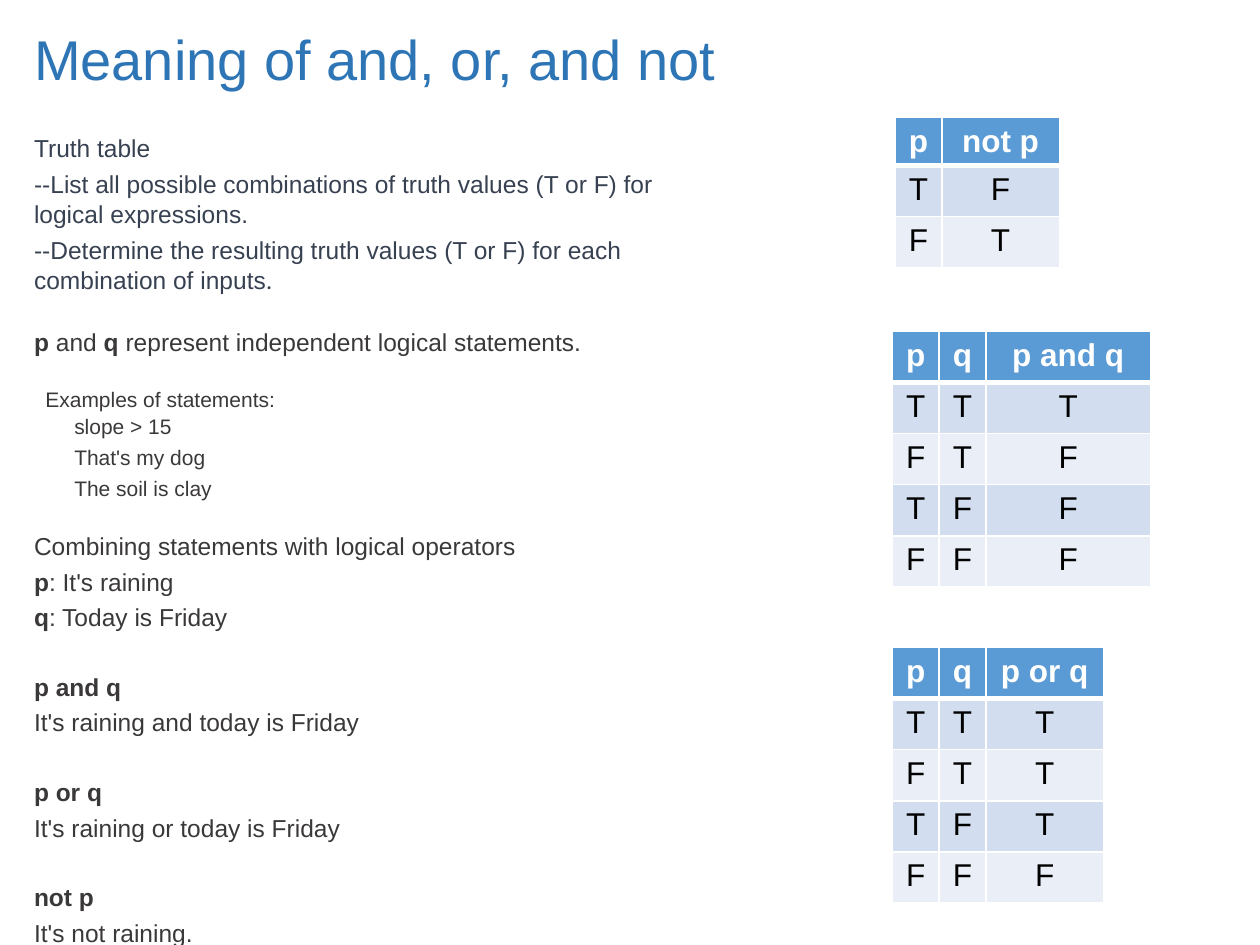
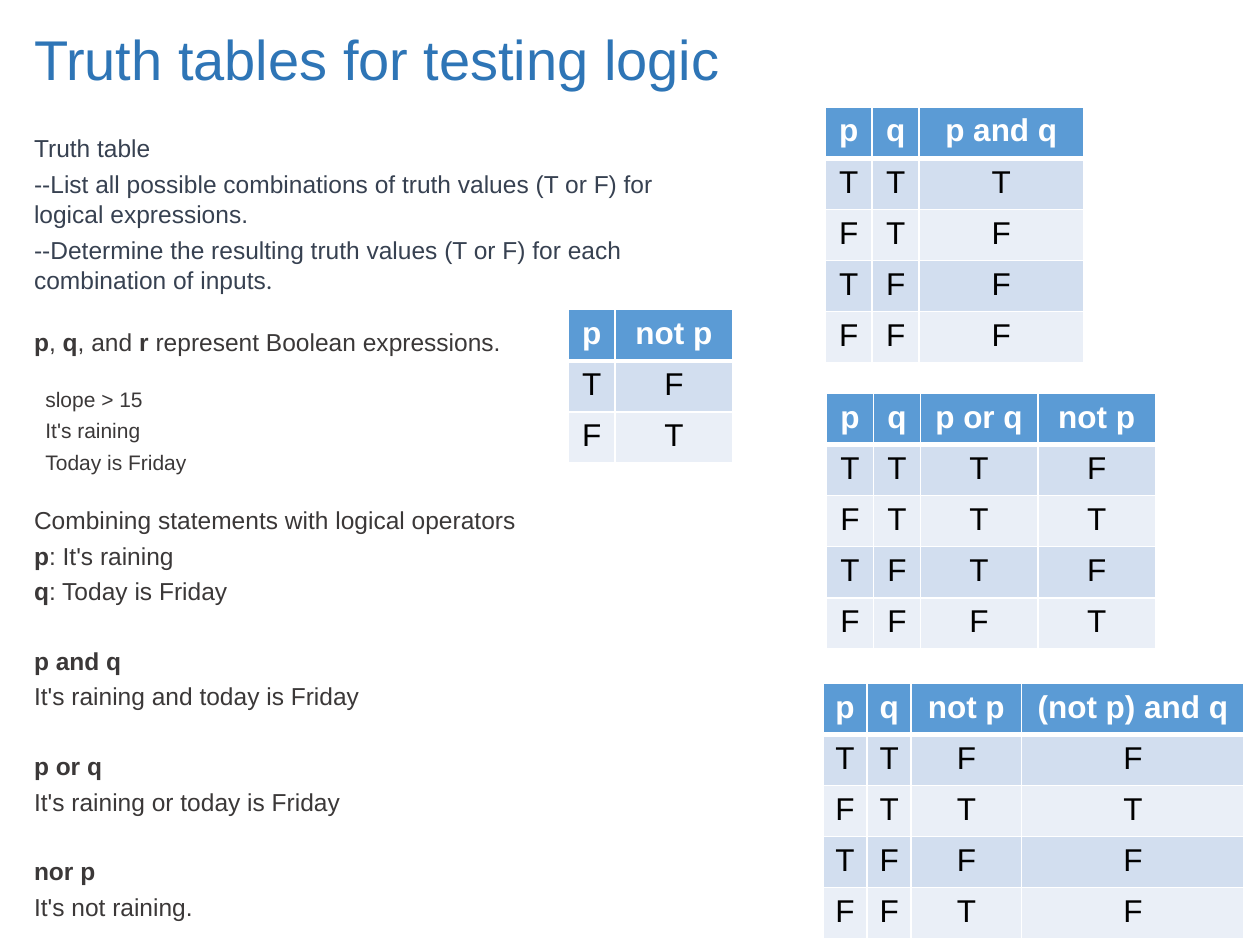
from itertools import product

from lxml import etree
from pptx import Presentation
from pptx import util as u
from pptx.dml.color import RGBColor
from pptx.enum import text
from pptx.oxml import ns

COLOURS = {
    "title": "2E75B6", "intro": "374151", "body": "3B3838",
    "header": "5B9BD5", "odd": "D2DEEF", "even": "EAEFF7",
    "line": "FFFFFF", "header_text": "FFFFFF", "value": "000000",
}
FONT = "Arial"
LINE_SPACING = 1.04
NEAR, SECTION, GROUP = 2.8, 17, 22.4
STATEMENT, EXAMPLE = 6.5, 23

LOGIC = {
    "p": lambda p, q: p,
    "q": lambda p, q: q,
    "not p": lambda p, q: not p,
    "p and q": lambda p, q: p and q,
    "p or q": lambda p, q: p or q,
    "(not p) and q": lambda p, q: not p and q,
}

INTRO = [
    "Truth table",
    "--List all possible combinations of truth values (T or F) for logical expressions.",
    "--Determine the resulting truth values (T or F) for each combination of inputs",
]


class Deck:
    """Holds the shared style and the slide being built."""

    def __init__(self):
        self.prs = Presentation()
        self.prs.slide_width, self.prs.slide_height = u.Pt(720), u.Pt(540)
        self.slide = None

    def place(self, holder, left, top, width, height):
        holder.left, holder.top = u.Pt(left), u.Pt(top)
        holder.width, holder.height = u.Pt(width), u.Pt(height)
        frame = holder.text_frame
        frame.word_wrap = True
        frame.auto_size = text.MSO_AUTO_SIZE.NONE
        return frame

    def run(self, para, words, size, colour, bold=False, font=FONT):
        run = para.add_run()
        run.text = words
        run.font.name, run.font.size, run.font.bold = font, u.Pt(size), bold
        run.font.color.rgb = RGBColor.from_string(COLOURS[colour])

    def title(self, words):
        self.slide = self.prs.slides.add_slide(self.prs.slide_layouts[1])
        frame = self.place(self.slide.shapes.title, 12.24, 15.1, 630, 36)
        frame.vertical_anchor = text.MSO_ANCHOR.MIDDLE
        heading = frame.paragraphs[0]
        heading.alignment = text.PP_ALIGN.LEFT
        self.run(heading, words, 32, "title")

    def body(self):
        self.frame = self.place(self.slide.placeholders[1], 12.24, 72, 396, 426)
        self.started = False

    def line(self, words, before=NEAR, size=14, indent=0, colour="body"):
        para = self.frame.add_paragraph() if self.started else self.frame.paragraphs[0]
        props = para._p.get_or_add_pPr()
        props.set("marL", str(u.Pt(indent)))
        props.set("indent", "0")
        etree.SubElement(props, ns.qn("a:buNone"))
        para.line_spacing = LINE_SPACING
        para.space_before = u.Pt(before if self.started else 0)
        self.started = True
        for place, part in enumerate(words.split("*")):
            if part:
                self.run(para, part, size, colour, bold=place % 2 == 1)
        return para

    def explanation(self, variables, statements, negation):
        self.body()
        for words in INTRO:
            last = self.line(words, colour="intro")
        self.run(last, ".", 14, "intro", font="Calibri")
        self.line(variables, before=17.5)
        for words, before, indent in statements:
            self.line(words, before, 12, indent)
        self.line("Combining statements with logical operators", before=SECTION)
        self.line("*p*: It's raining")
        self.line("*q*: Today is Friday")
        for operation, sentence in [
            ("p and q", "It's raining and today is Friday"),
            ("p or q", "It's raining or today is Friday"),
            (negation, "It's not raining."),
        ]:
            self.line(f"*{operation}*", before=GROUP)
            self.line(sentence)

    def cell(self, cell, words, fill, colour, bold, under):
        props = cell._tc.get_or_add_tcPr()
        for side in "LRTB":
            weight = under if side == "B" else 1
            edge = etree.SubElement(props, ns.qn(f"a:ln{side}"), w=str(u.Pt(weight)))
            paint = etree.SubElement(edge, ns.qn("a:solidFill"))
            etree.SubElement(paint, ns.qn("a:srgbClr"), val=COLOURS["line"])
        cell.fill.solid()
        cell.fill.fore_color.rgb = RGBColor.from_string(COLOURS[fill])
        para = cell.text_frame.paragraphs[0]
        para.alignment = text.PP_ALIGN.CENTER
        self.run(para, words, 18, colour, bold)

    def truth_table(self, left, top, columns, header_height=29.2):
        names = list(columns)
        inputs = [(p, q) for q, p in product([True, False], repeat=2)]
        if "q" not in names:
            inputs = inputs[:2]
        heights = [header_height] + [29.2] * len(inputs)
        table = self.slide.shapes.add_table(
            len(heights), len(names), u.Pt(left), u.Pt(top),
            u.Pt(sum(columns.values())), u.Pt(sum(heights))).table
        for row, height in zip(table.rows, heights):
            row.height = u.Pt(height)
        for col, name in enumerate(names):
            table.columns[col].width = u.Pt(columns[name])
            self.cell(table.cell(0, col), name, "header", "header_text", True, 3)
            for row, (p, q) in enumerate(inputs, 1):
                value = "T" if LOGIC[name](p, q) else "F"
                band = "odd" if row % 2 else "even"
                self.cell(table.cell(row, col), value, band, "value", False, 1)


def main():
    deck = Deck()
    variable = {"p": 26.8, "q": 26.8}
    negated = {"p": 26.8, "not p": 67.2}
    conjunction = {**variable, "p and q": 94}
    disjunction = {**variable, "p or q": 67.2}

    deck.title("Meaning of and, or, and not")
    deck.explanation(
        "*p* and *q* represent independent logical statements.",
        [("Examples of statements:", SECTION, STATEMENT), ("slope > 15", 0, EXAMPLE),
         ("That's my dog", NEAR, EXAMPLE), ("The soil is clay", NEAR, EXAMPLE)],
        "not p")
    deck.truth_table(509.8, 189.4, conjunction)
    deck.truth_table(509.8, 370, disjunction)
    deck.truth_table(511.4, 67, negated, header_height=27)

    deck.title("Truth tables for testing logic")
    deck.explanation(
        "*p*, *q*, and *r* represent Boolean expressions.",
        [("slope > 15", SECTION, STATEMENT), ("It's raining", NEAR, STATEMENT),
         ("Today is Friday", NEAR, STATEMENT)],
        "nor p")
    deck.truth_table(471.6, 61.2, conjunction)
    deck.truth_table(470.2, 390.4, {"p": 25.2, "q": 25.2, "not p": 63.2, "(not p) and q": 127.2})
    deck.truth_table(472.3, 224.8, {**disjunction, "not p": 67.2})
    deck.truth_table(324.7, 177, negated)

    deck.prs.save("out.pptx")


if __name__ == "__main__":
    main()
